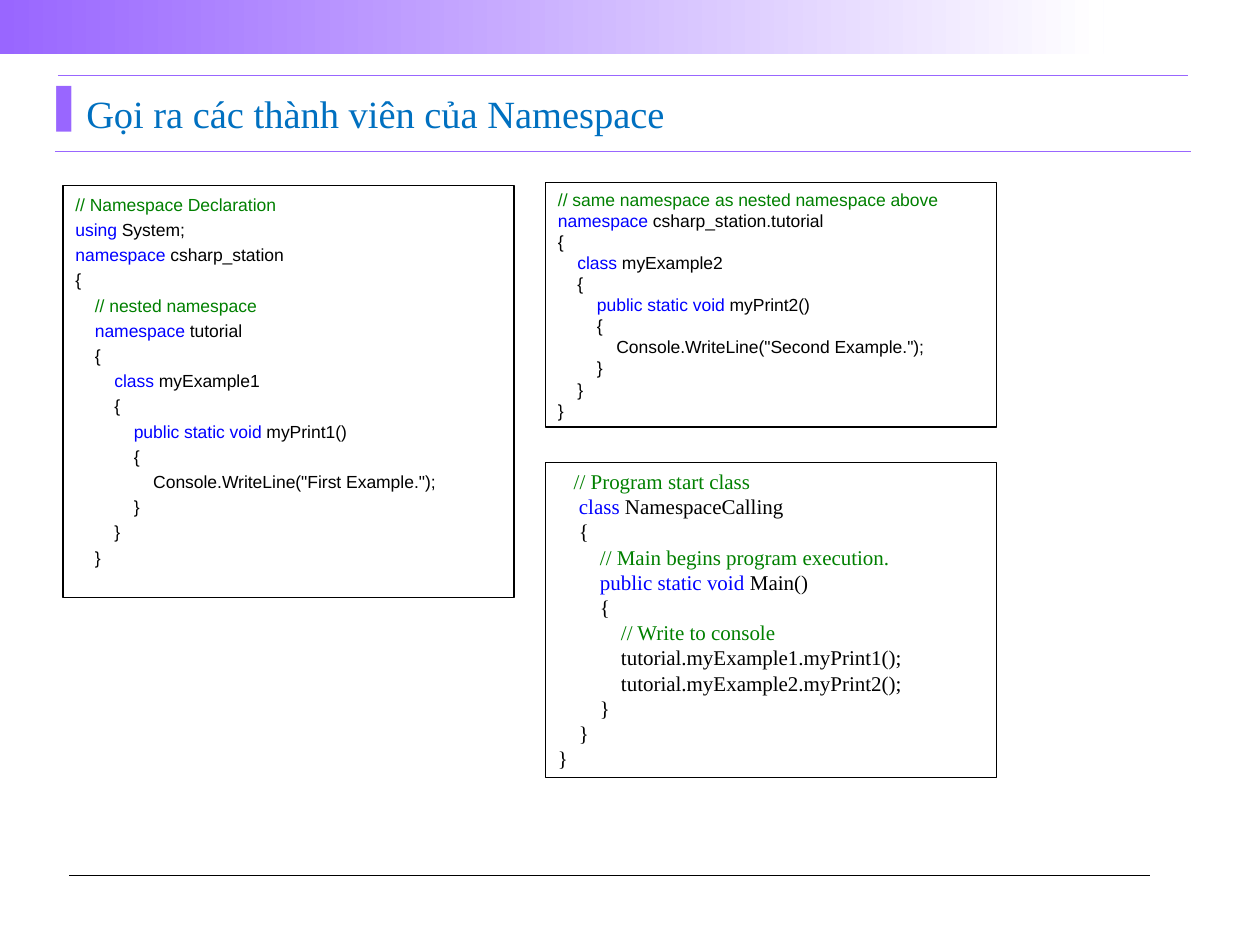
from lxml import etree
from pptx import Presentation
from pptx.dml.color import RGBColor
from pptx.enum.shapes import MSO_CONNECTOR, MSO_SHAPE
from pptx.enum.text import MSO_ANCHOR, MSO_AUTO_SIZE, PP_ALIGN
from pptx.oxml.ns import qn
from pptx.util import Inches, Pt

STRAIGHT = MSO_CONNECTOR.STRAIGHT
RECTANGLE = MSO_SHAPE.RECTANGLE
TOP, MIDDLE, BOTTOM = MSO_ANCHOR.TOP, MSO_ANCHOR.MIDDLE, MSO_ANCHOR.BOTTOM
GROW = MSO_AUTO_SIZE.SHAPE_TO_FIT_TEXT
LEFT = PP_ALIGN.LEFT

PURPLE = RGBColor(0x99, 0x66, 0xFF)
WHITE = RGBColor(0xFF, 0xFF, 0xFF)
BLACK = RGBColor(0x00, 0x00, 0x00)
TITLE_BLUE = RGBColor(0x00, 0x70, 0xC0)
COMMENT_GREEN = RGBColor(0x00, 0x80, 0x00)
KEYWORD_BLUE = RGBColor(0x00, 0x00, 0xFF)

SANS, SERIF = "Arial", "Times New Roman"
KEYWORDS = ("using", "namespace", "class", "public static void")
SPACE_WIDTH = {SANS: 0.278, SERIF: 0.25}  # share of the font size

COLUMNS, ROWS = 100, 75

NESTED_CODE = """\
// Namespace Declaration
using System;
namespace csharp_station
{
    // nested namespace
    namespace tutorial
    {
        class myExample1
        {
            public static void myPrint1()
            {
                Console.WriteLine("First Example.");
            }
        }
    }"""

SAME_NAMESPACE_CODE = """\
// same namespace as nested namespace above
namespace csharp_station.tutorial
{
    class myExample2
    {
        public static void myPrint2()
        {
            Console.WriteLine("Second Example.");
        }
    }
}"""

CALLING_CODE = """\
   // Program start class
    class NamespaceCalling
    {
        // Main begins program execution.
        public static void Main()
        {
            // Write to console
            tutorial.myExample1.myPrint1();
            tutorial.myExample2.myPrint2();
        }
    }
}"""


def color_spans(statement):
    """Split a line of code into (text, color) pairs."""
    if statement.startswith("//"):
        return [(statement, COMMENT_GREEN)]
    for keyword in KEYWORDS:
        if statement.startswith(keyword + " "):
            return [(keyword, KEYWORD_BLUE), (statement[len(keyword):], BLACK)]
    return [(statement, BLACK)]


class CodeSlide:
    """A title-only slide measured in grid columns and rows."""

    def __init__(self, deck):
        self.column = deck.slide_width / COLUMNS
        self.row = deck.slide_height / ROWS
        self.page = deck.slides.add_slide(deck.slide_layouts[5])

    def place(self, left, top, width, height):
        return (round(left * self.column), round(top * self.row),
                round(width * self.column), round(height * self.row))

    def rectangle(self, *area):
        box = self.page.shapes.add_shape(RECTANGLE, *self.place(*area))
        box.shadow.inherit = False
        return box

    def gradient_band(self, *area):
        band = self.rectangle(*area)
        band.line.fill.background()
        band.fill.gradient()
        band.fill.gradient_angle = 0
        stops = band.fill.gradient_stops
        for stop, position, color in zip(stops, (0, 1), (PURPLE, WHITE)):
            stop.position = position
            stop.color.rgb = color

    def rule(self, start, end, row, color, weight):
        ends = self.place(start, row, end, row)
        line = self.page.shapes.add_connector(STRAIGHT, *ends)
        line.line.color.rgb = color
        line.line.width = Pt(weight)
        etree.SubElement(line._element.spPr, qn("a:effectLst"))

    def title(self, text, *area):
        title = self.page.shapes.title
        title.left, title.top, title.width, title.height = self.place(*area)
        frame = title.text_frame
        frame.text = text
        frame.vertical_anchor = BOTTOM
        frame.auto_size = GROW
        frame.margin_left = frame.margin_right = 0
        frame.margin_top = frame.margin_bottom = 0
        para = frame.paragraphs[0]
        para.alignment = LEFT
        para.font.name, para.font.size = SERIF, Pt(22)
        para.font.color.rgb = TITLE_BLUE
        self.block_bullet(para, Inches(0.19))

    def block_bullet(self, para, indent):
        properties = para._p.get_or_add_pPr()
        properties.set("marL", str(indent))
        properties.set("indent", str(-indent))
        bullet_color = etree.Element(qn("a:buClr"))
        etree.SubElement(bullet_color, qn("a:srgbClr"), val=str(PURPLE))
        bullet = etree.Element(qn("a:buChar"), char="▌")
        # Bullet settings come before the default run properties.
        properties.insert(0, bullet_color)
        properties.insert(1, bullet)

    def code_box(self, code, area, font=SANS, size=10, spacing=1.0,
                 anchor=MIDDLE, bottom_margin=0.05):
        box = self.rectangle(*area)
        box.fill.background()
        box.line.color.rgb = BLACK
        box.line.width = Pt(0.75)
        frame = box.text_frame
        frame.word_wrap = True
        frame.auto_size = GROW
        frame.vertical_anchor = anchor
        frame.margin_bottom = Inches(bottom_margin)
        for number, line in enumerate(code.split("\n")):
            para = frame.add_paragraph() if number else frame.paragraphs[0]
            para.alignment = LEFT
            para.line_spacing = spacing
            para.font.name, para.font.size = font, Pt(size)
            statement = line.lstrip()
            depth = len(line) - len(statement)
            indent = Pt(depth * SPACE_WIDTH[font] * size)
            para._p.get_or_add_pPr().set("marL", str(indent))
            for text, color in color_spans(statement):
                span = para.add_run()
                span.text = text
                span.font.color.rgb = color


def main():
    deck = Presentation()
    deck.slide_width, deck.slide_height = Inches(10), Inches(7.5)
    slide = CodeSlide(deck)

    slide.gradient_band(0, 0, 87.6, 4.3)
    slide.rule(4.4, 94.5, 12, PURPLE, 0.5)
    slide.rule(5.5, 91.3, 69.5, BLACK, 0.75)
    slide.rule(4.6, 94.3, 6, PURPLE, 0.75)
    slide.title("Gọi ra các thành viên của Namespace", 4.5, 7.1, 86.2, 3.7)

    slide.code_box(NESTED_CODE, (5, 14.7, 35.8, 32.7), spacing=1.2,
                   bottom_margin=0.25)
    slide.code_box(SAME_NAMESPACE_CODE, (43.3, 14.5, 35.8, 19.4))
    slide.code_box(CALLING_CODE, (43.3, 36.7, 35.8, 25), font=SERIF, size=12,
                   anchor=TOP)
    deck.save("out.pptx")


if __name__ == "__main__":
    main()
